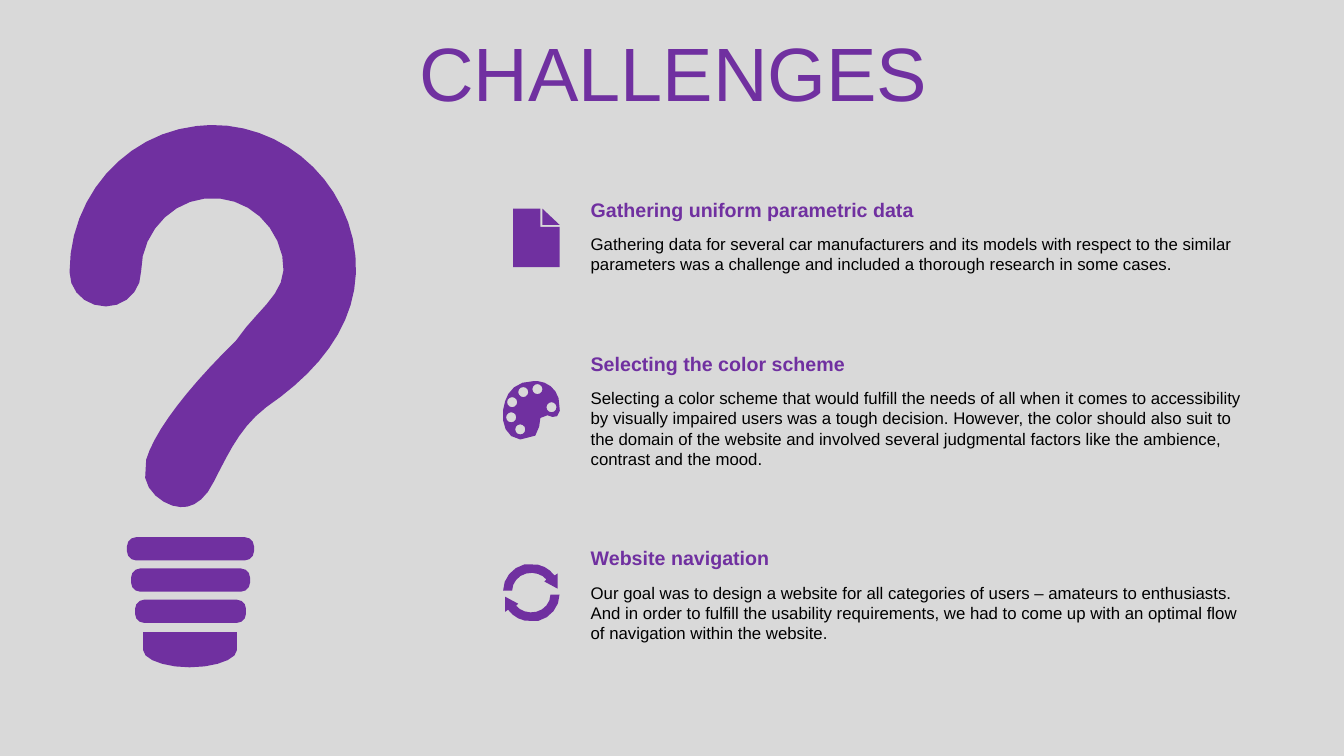
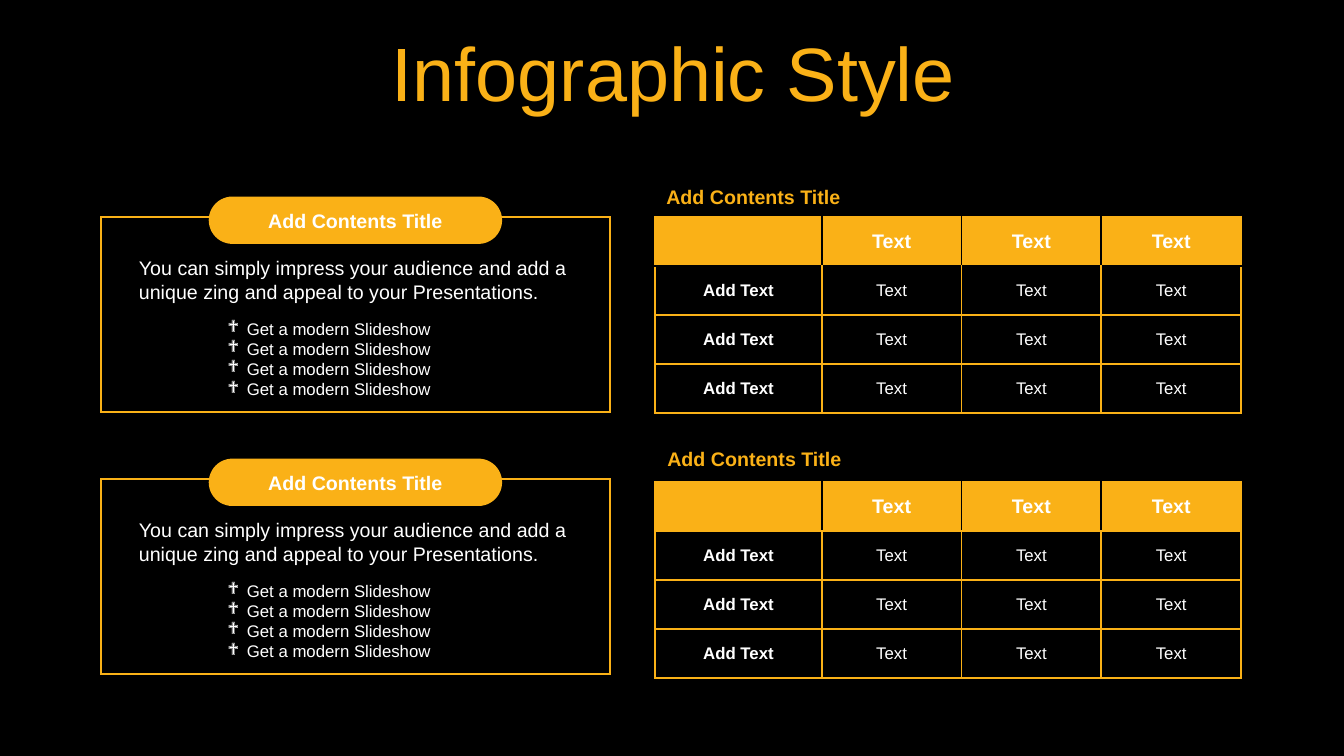
"""Build two infographic slides: a challenges list and a panel of cards and tables."""
from dataclasses import dataclass
from math import ceil, cos, dist, sin, tau

from lxml import etree
from pptx import Presentation
from pptx.dml.color import RGBColor
from pptx.dml.fill import FillFormat
from pptx.enum.shapes import MSO_SHAPE
from pptx.enum.text import MSO_ANCHOR, PP_ALIGN
from pptx.oxml.ns import qn
from pptx.shapes.autoshape import Shape
from pptx.slide import Slide
from pptx.table import _Cell
from pptx.text.text import TextFrame, _Paragraph
from pptx.util import Inches, Pt

RECTANGLE, ROUNDED = MSO_SHAPE.RECTANGLE, MSO_SHAPE.ROUNDED_RECTANGLE
MIDDLE = MSO_ANCHOR.MIDDLE
LEFT, CENTER = PP_ALIGN.LEFT, PP_ALIGN.CENTER

FONT = "Arial"
PURPLE, GREY, AMBER = "7030A0", "D9D9D9", "FAB117"
BLACK, WHITE = "000000", "FFFFFF"
RULE = Pt(1.5)

Point = tuple[float, float]
Outline = list[tuple[float, ...]]


@dataclass(frozen=True)
class Style:
    size: float
    color: str
    bold: bool = False
    align: PP_ALIGN = LEFT


@dataclass(frozen=True)
class Challenge:
    top: float
    body_height: float
    heading: str
    body: str


@dataclass(frozen=True)
class Panel:
    card_top: float
    caption_left: float
    caption_top: float
    table_top: float
    header_rule: str


CHALLENGES = [
    Challenge(1.91, 0.5, "Gathering uniform parametric data",
              "Gathering data for several car manufacturers and its models with respect to the "
              "similar parameters was a challenge and included a thorough research in some cases."),
    Challenge(3.44, 0.91, "Selecting the color scheme",
              "Selecting a color scheme that would fulfill the needs of all when it comes to "
              "accessibility by visually impaired users was a tough decision. However, the color "
              "should also suit to the domain of the website and involved several judgmental "
              "factors like the ambience, contrast and the mood."),
    Challenge(5.37, 0.71, "Website navigation",
              "Our goal was to design a website for all categories of users – amateurs to "
              "enthusiasts. And in order to fulfill the usability requirements, we had to come up "
              "with an optimal flow of navigation within the website."),
]
PANELS = [Panel(2.15, 6.51, 1.79, 2.15, BLACK), Panel(4.75, 6.52, 4.38, 4.78, AMBER)]

CONTENT_TITLE = "Add Contents Title"
CARD_TEXT = ("You can simply impress your audience and add a unique zing and appeal "
             "to your Presentations.")
CARD_BULLETS = ["Get a modern Slideshow"] * 4
TABLE_ROWS = [["", "Text", "Text", "Text"]] + [["Add Text", "Text", "Text", "Text"]] * 3
TABLE_WIDTH, LABEL_WIDTH = 5.81, 1.65
COLUMN_WIDTHS = [LABEL_WIDTH] + [(TABLE_WIDTH - LABEL_WIDTH) / 3] * 3

QUESTION_MARK: Outline = [
    (2.09, 1.24), (2.75, 1.23, 3.35, 1.7, 3.5, 2.37), (3.65, 3.08, 3.24, 3.63, 2.64, 4.04),
    (2.38, 4.24, 2.27, 4.49, 2.12, 4.78), (2.03, 4.97, 1.9, 5.04, 1.79, 5.03),
    (1.67, 5.03, 1.47, 4.91, 1.44, 4.74), (1.45, 4.56), (1.54, 4.26, 1.88, 3.83, 2.34, 3.38),
    (2.57, 3.04, 2.88, 2.9, 2.8, 2.54), (2.72, 2.17, 2.39, 1.93, 2.03, 1.97),
    (1.68, 2.01, 1.4, 2.33, 1.4, 2.69), (1.4, 2.89, 1.24, 3.04, 1.05, 3.04),
    (0.85, 3.04, 0.69, 2.89, 0.69, 2.7), (0.69, 1.95, 1.24, 1.33, 1.95, 1.25),
]
BULB_BASE: Outline = [(2.35, 6.27), (1.42, 6.27), (1.42, 6.45),
                      (1.42, 6.54, 1.63, 6.62, 1.88, 6.62), (2.14, 6.62, 2.35, 6.54, 2.35, 6.45)]
PAGE: Outline = [(5.09, 2.07), (5.36, 2.07), (5.36, 2.25), (5.55, 2.25), (5.55, 2.65), (5.09, 2.65)]
PAGE_FOLD: Outline = [(5.38, 2.07), (5.55, 2.23), (5.38, 2.23)]
PALETTE: Outline = [
    (5.33, 3.78), (5.43, 3.79, 5.51, 3.85, 5.54, 3.95), (5.59, 4.17, 5.49, 4.15, 5.43, 4.12),
    (5.26, 4.09, 5.47, 4.37, 5.16, 4.36), (4.98, 4.34, 4.96, 4.12, 5.01, 3.98),
    (5.04, 3.88, 5.12, 3.78, 5.3, 3.78),
]
PAINT_WELLS: list[Point] = [(5.16, 4.26), (5.07, 4.14), (5.47, 4.04), (5.08, 3.99), (5.19, 3.89),
                            (5.33, 3.86)]
CYCLE_ARROW: Outline = [
    (5.27, 5.6), (5.36, 5.59, 5.45, 5.64, 5.5, 5.71), (5.53, 5.69), (5.53, 5.84), (5.4, 5.77),
    (5.42, 5.75), (5.38, 5.7, 5.3, 5.67, 5.22, 5.69), (5.14, 5.71, 5.08, 5.78, 5.08, 5.86),
    (4.99, 5.86), (4.99, 5.74, 5.08, 5.63, 5.2, 5.6),
]
CYCLE_CENTER: Point = (5.27, 5.88)


def fill_with(fill: FillFormat, color: str) -> None:
    fill.solid()
    fill.fore_color.rgb = RGBColor.from_string(color)


def write(paragraph: _Paragraph, text: str, style: Style) -> None:
    paragraph.alignment = style.align
    run = paragraph.add_run()
    run.text = text
    run.font.name = FONT
    run.font.size = Pt(style.size)
    run.font.bold = style.bold
    fill_with(run.font.fill, style.color)


def add_text_frame(slide: Slide, left: float, top: float, width: float,
                   height: float) -> TextFrame:
    box = slide.shapes.add_textbox(Inches(left), Inches(top), Inches(width), Inches(height))
    box.text_frame.word_wrap = True
    return box.text_frame


def add_text(slide: Slide, left: float, top: float, width: float, height: float,
             text: str, style: Style) -> None:
    write(add_text_frame(slide, left, top, width, height).paragraphs[0], text, style)


def add_slide(deck: Presentation, title: str, background: str, color: str) -> Slide:
    slide = deck.slides.add_slide(deck.slide_layouts[6])
    fill_with(slide.background.fill, background)
    frame = add_text_frame(slide, 0.35, 0.37, 12.66, 0.79)
    frame.vertical_anchor = MIDDLE
    frame.paragraphs[0].line_spacing = 0.9
    write(frame.paragraphs[0], title, Style(54, color, align=CENTER))
    return slide


def paint(shape: Shape, color: str) -> None:
    shape.shadow.inherit = False
    fill_with(shape.fill, color)
    shape.line.fill.background()


def add_rounded(slide: Slide, left: float, top: float, width: float, height: float,
                corner: float, color: str) -> Shape:
    shape = slide.shapes.add_shape(ROUNDED, Inches(left), Inches(top), Inches(width),
                                   Inches(height))
    shape.adjustments[0] = corner
    paint(shape, color)
    return shape


def flatten(outline: Outline) -> list[Point]:
    points: list[Point] = []
    for *controls, x3, y3 in outline:
        if controls:
            x0, y0 = points[-1]
            x1, y1, x2, y2 = controls
            steps = 2 + ceil(5 * dist((x0, y0), (x3, y3)))
            for t in (index / steps for index in range(1, steps)):
                a, b, c, d = (1 - t) ** 3, 3 * t * (1 - t) ** 2, 3 * t * t * (1 - t), t ** 3
                points.append((a * x0 + b * x1 + c * x2 + d * x3,
                               a * y0 + b * y1 + c * y2 + d * y3))
        points.append((x3, y3))
    return points


def circle(center: Point, radius: float) -> list[Point]:
    angles = [tau * index / 12 for index in range(12)]
    return [(center[0] + radius * cos(a), center[1] + radius * sin(a)) for a in angles]


def add_outline(slide: Slide, contours: list[list[Point]], color: str) -> None:
    first, *others = [[(Inches(x), Inches(y)) for x, y in contour] for contour in contours]
    builder = slide.shapes.build_freeform(*first[0])
    builder.add_line_segments(first[1:], close=True)
    for contour in others:
        builder.move_to(*contour[0])
        builder.add_line_segments(contour[1:], close=True)
    paint(builder.convert_to_shape(), color)


def set_borders(cell: _Cell, left: str, right: str, top: str, bottom: str) -> None:
    properties = cell._tc.get_or_add_tcPr()
    for tag, color in zip(("a:lnL", "a:lnR", "a:lnT", "a:lnB"), (left, right, top, bottom)):
        line = etree.SubElement(properties, qn(tag), w=str(RULE))
        etree.SubElement(etree.SubElement(line, qn("a:solidFill")), qn("a:srgbClr"), val=color)


def add_bullet(paragraph: _Paragraph) -> None:
    properties = paragraph._p.get_or_add_pPr()
    properties.set("marL", str(Inches(0.19)))
    properties.set("indent", str(-Inches(0.19)))
    etree.SubElement(properties, qn("a:buFont"), typeface="Wingdings")
    etree.SubElement(properties, qn("a:buChar"), char="❖")


def add_card(slide: Slide, top: float) -> None:
    frame = slide.shapes.add_shape(RECTANGLE, Inches(1), Inches(top), Inches(5.05), Inches(1.94))
    frame.shadow.inherit = False
    frame.fill.background()
    fill_with(frame.line.fill, AMBER)
    frame.line.width = RULE
    etree.SubElement(frame.line._get_or_add_ln(), qn("a:miter"), lim="800000")
    pill = add_rounded(slide, 2.07, top - 0.2, 2.91, 0.47, 0.5, AMBER)
    pill.text_frame.vertical_anchor = MIDDLE
    write(pill.text_frame.paragraphs[0], CONTENT_TITLE, Style(14, WHITE, True, CENTER))
    add_text(slide, 1.28, top + 0.34, 4.5, 0.57, CARD_TEXT, Style(14, WHITE))
    bullets = add_text_frame(slide, 2.16, top + 0.96, 2.75, 0.91)
    for index, text in enumerate(CARD_BULLETS):
        paragraph = bullets.add_paragraph() if index else bullets.paragraphs[0]
        add_bullet(paragraph)
        write(paragraph, text, Style(12, WHITE))


def add_grid(slide: Slide, top: float, header_rule: str) -> None:
    last = len(COLUMN_WIDTHS) - 1
    table = slide.shapes.add_table(len(TABLE_ROWS), len(COLUMN_WIDTHS), Inches(6.5), Inches(top),
                                   Inches(TABLE_WIDTH), Inches(1.95)).table
    table.first_row = table.horz_banding = False
    for column, width in zip(table.columns, COLUMN_WIDTHS):
        column.width = Inches(width)
    for r, row in enumerate(TABLE_ROWS):
        header = r == 0
        inner = BLACK if header else AMBER
        for c, text in enumerate(row):
            cell = table.cell(r, c)
            set_borders(cell, inner if c else AMBER, inner if c < last else AMBER,
                        header_rule if r == 1 else AMBER, header_rule if header else AMBER)
            if header:
                fill_with(cell.fill, AMBER)
            else:
                cell.fill.background()
            cell.vertical_anchor = MIDDLE
            if text:
                style = Style(14 if header else 12, WHITE, header or c == 0, CENTER)
                write(cell.text_frame.paragraphs[0], text, style)


def build_challenges(deck: Presentation) -> None:
    slide = add_slide(deck, "CHALLENGES", GREY, PURPLE)
    for index in range(3):
        width = 1.26 - 0.08 * index
        add_rounded(slide, 1.89 - width / 2, 5.33 + 0.31 * index, width, 0.23, 0.39, PURPLE)
    wells = [circle(center, 0.05) for center in PAINT_WELLS]
    arrow = flatten(CYCLE_ARROW)
    turned_arrow = [(2 * CYCLE_CENTER[0] - x, 2 * CYCLE_CENTER[1] - y) for x, y in arrow]
    for contours in ([flatten(BULB_BASE)], [flatten(QUESTION_MARK)], [PAGE, PAGE_FOLD],
                     [flatten(PALETTE), *wells], [arrow, turned_arrow]):
        add_outline(slide, contours, PURPLE)
    for item in CHALLENGES:
        add_text(slide, 5.76, item.top, 6.75, 0.34, item.heading, Style(14, PURPLE, True))
        add_text(slide, 5.76, item.top + 0.36, 6.75, item.body_height, item.body, Style(12, BLACK))


def build_infographic(deck: Presentation) -> None:
    slide = add_slide(deck, "Infographic Style", BLACK, AMBER)
    for panel in PANELS:
        add_card(slide, panel.card_top)
        add_text(slide, panel.caption_left, panel.caption_top, 2.75, 0.34, CONTENT_TITLE,
                 Style(14, AMBER, True))
        add_grid(slide, panel.table_top, panel.header_rule)


def main() -> None:
    deck = Presentation()
    deck.slide_width, deck.slide_height = Inches(13.33), Inches(7.5)
    build_challenges(deck)
    build_infographic(deck)
    deck.save("out.pptx")


if __name__ == "__main__":
    main()
